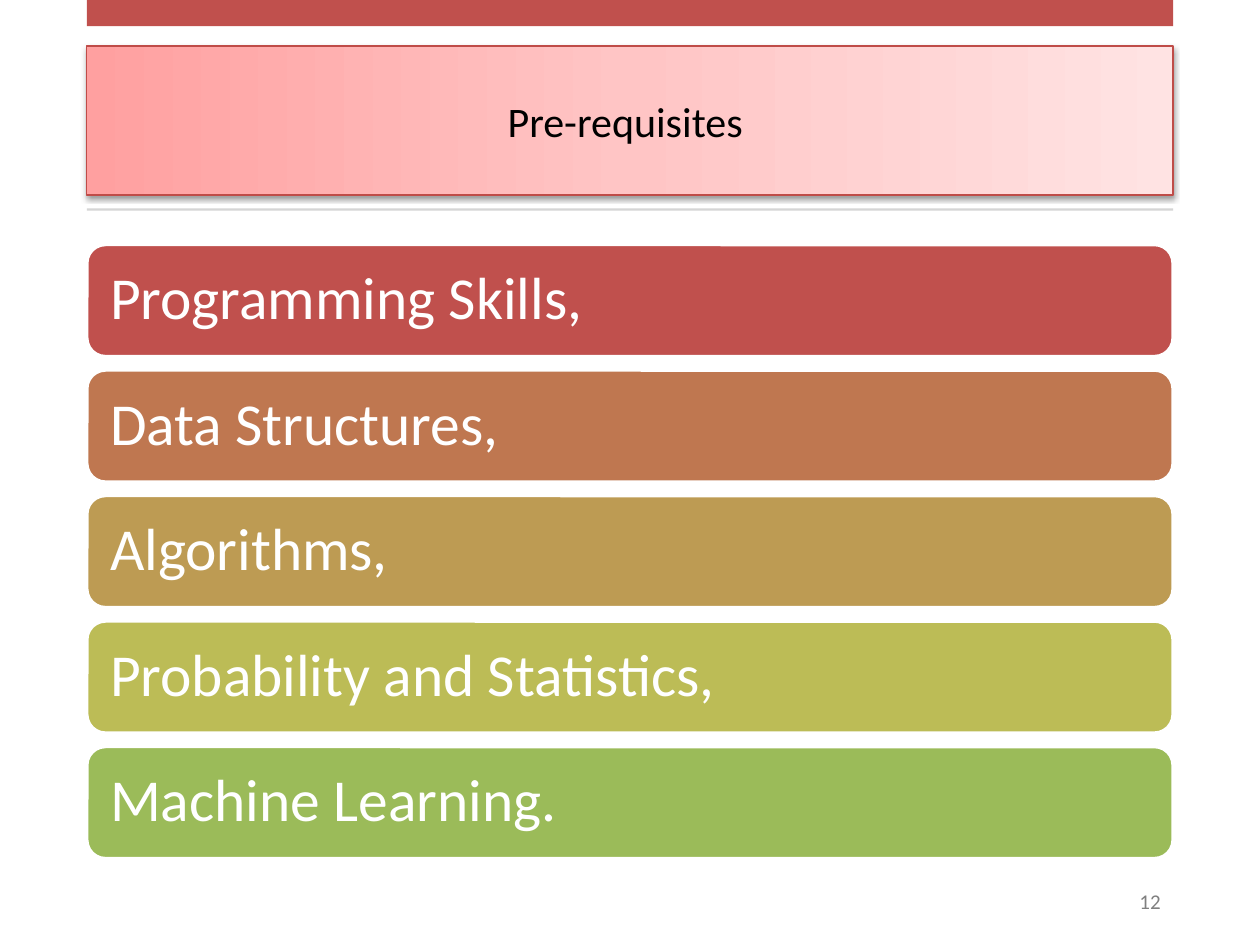
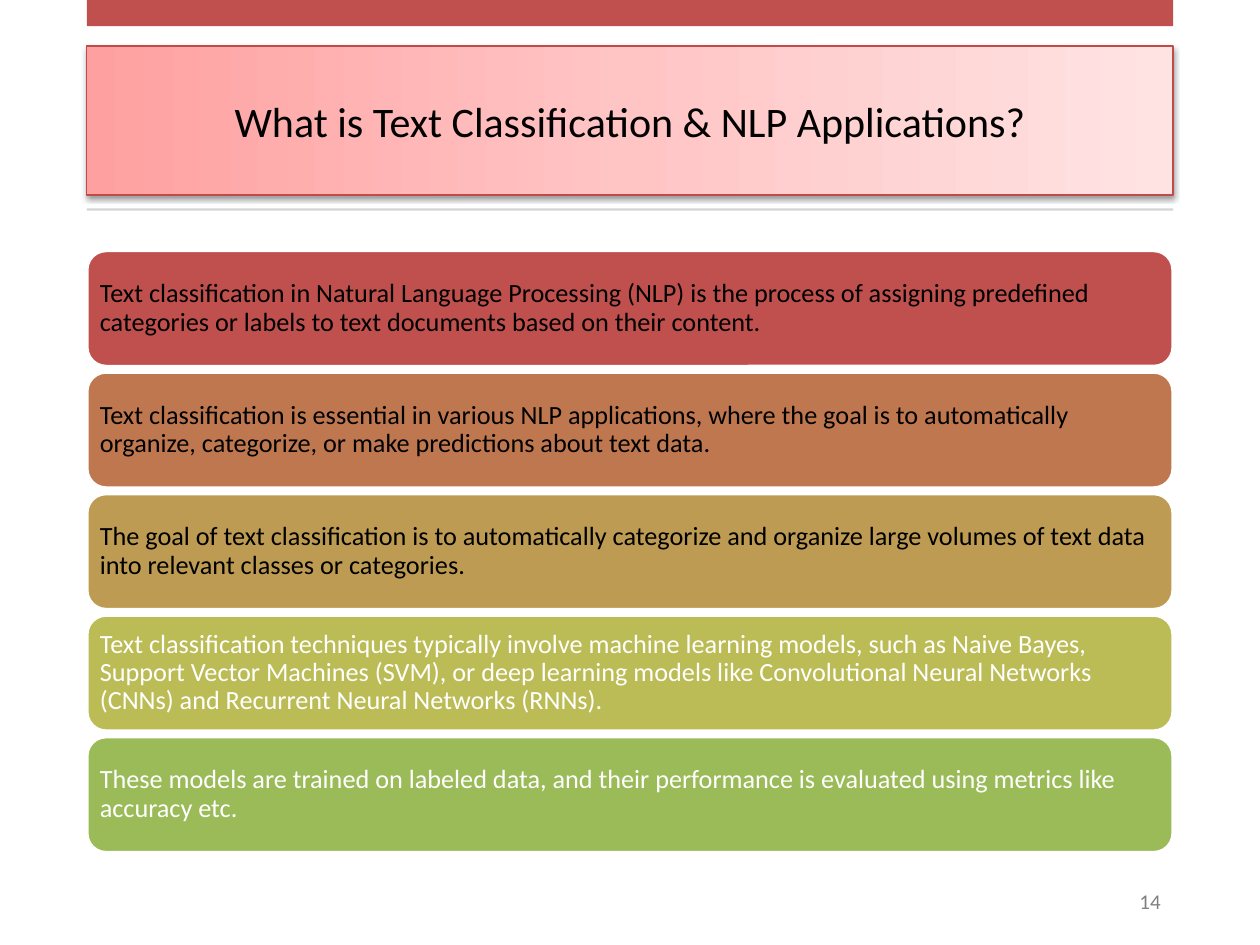
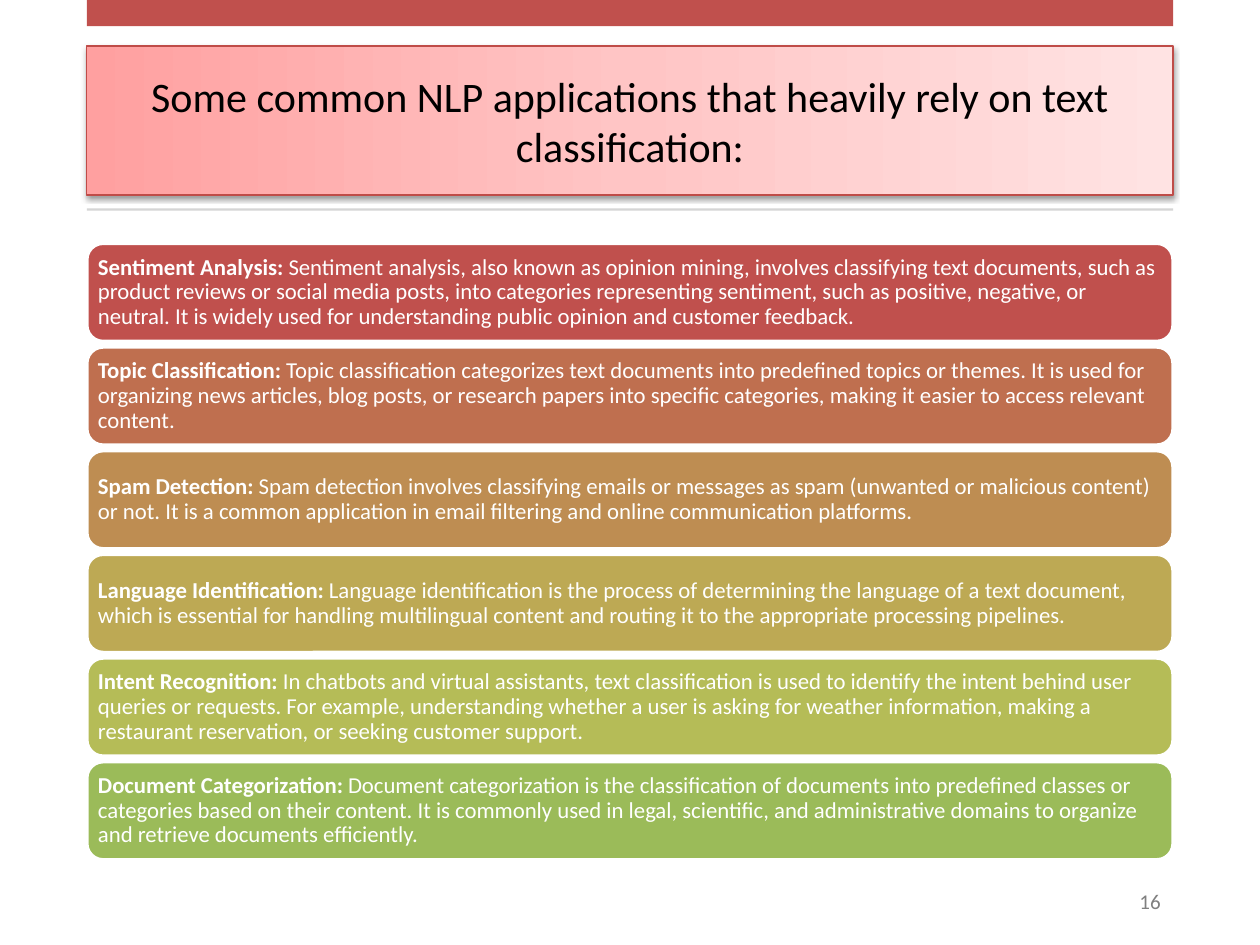
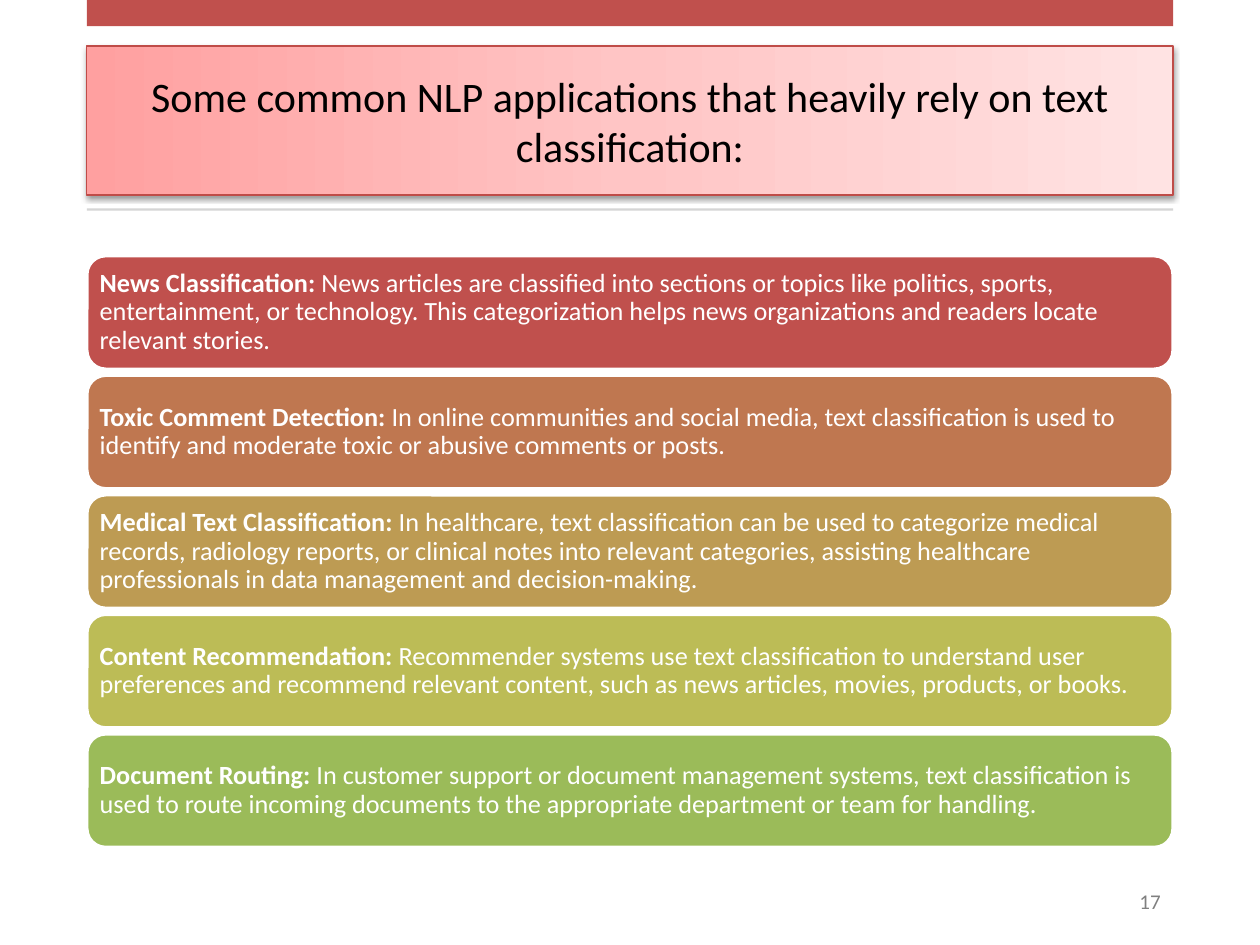
from collections import namedtuple

from lxml.etree import SubElement
from pptx import Presentation
from pptx.dml.color import RGBColor
from pptx.enum.shapes import MSO_SHAPE
from pptx.enum.text import MSO_ANCHOR, MSO_AUTO_SIZE, PP_ALIGN
from pptx.oxml.ns import qn
from pptx.util import Cm, Pt

Box = namedtuple("Box", "left top width height")
Topic = namedtuple("Topic", "text heading color", defaults=("", "white"))
Stack = namedtuple("Stack", "height gap inset size")

FONT = "Calibri"
COLORS = {
    "black": "000000",
    "white": "FFFFFF",
    "red": "C0504D",
    "border": "BF4C48",
    "rule": "D5D5D5",
    "number": "808080",
    "rust": "BF6F4F",
    "copper": "BF7750",
    "bronze": "BE8D52",
    "ochre": "BD9B53",
    "gold": "BDA954",
    "olive": "BCBC56",
    "lime": "B5BC57",
    "green": "9BBB59",
}
TITLE_STOPS = [(0, "FFA0A0"), (50, "FFC5C5"), (100, "FFE3E3")]
RAMPS = {
    5: ["red", "copper", "ochre", "olive", "green"],
    6: ["red", "rust", "bronze", "gold", "lime", "green"],
}

LEFT, WIDTH = 1.75, 21.9
BAND = Box(LEFT, 0, WIDTH, 0.53)
TITLE = Box(LEFT, 0.93, WIDTH, 3)
RULE = Box(LEFT, 4.2, WIDTH, 0.05)
BODY = Box(LEFT, 4.9, WIDTH, 12.44)
NUMBER = Box(18.16, 17.65, 5.49, 1.02)

APPLICATIONS = "Some common NLP applications that heavily rely on text classification:"

SLIDES = [
    (12, "Pre-requisites ", Stack(2.26, 0.27, 0.36, 34), [
        Topic("Programming Skills,"),
        Topic("Data Structures,"),
        Topic("Algorithms,"),
        Topic("Probability and Statistics,"),
        Topic("Machine Learning."),
    ]),
    (14, "What is Text Classification & NLP Applications?", Stack(2.34, 0.11, 0.15, 15), [
        Topic("Text classification in Natural Language Processing (NLP) is the process of "
              "assigning predefined categories or labels to text documents based on their "
              "content.", color="black"),
        Topic("Text classification is essential in various NLP applications, where the goal "
              "is to automatically organize, categorize, or make predictions about text "
              "data.", color="black"),
        Topic("The goal of text classification is to automatically categorize and organize "
              "large volumes of text data into relevant classes or categories.",
              color="black"),
        Topic("Text classification techniques typically involve machine learning models, "
              "such as Naive Bayes, Support Vector Machines (SVM), or deep learning models "
              "like Convolutional Neural Networks (CNNs) and Recurrent Neural Networks "
              "(RNNs)."),
        Topic("These models are trained on labeled data, and their performance is evaluated "
              "using metrics like accuracy etc."),
    ]),
    (16, APPLICATIONS, Stack(1.98, 0.11, 0.13, 13), [
        Topic("Sentiment analysis, also known as opinion mining, involves classifying text "
              "documents, such as product reviews or social media posts, into categories "
              "representing sentiment, such as positive, negative, or neutral. It is widely "
              "used for understanding public opinion and customer feedback.",
              "Sentiment Analysis:"),
        Topic("Topic classification categorizes text documents into predefined topics or "
              "themes. It is used for organizing news articles, blog posts, or research "
              "papers into specific categories, making it easier to access relevant content.",
              "Topic Classification:"),
        Topic("Spam detection involves classifying emails or messages as spam (unwanted or "
              "malicious content) or not. It is a common application in email filtering and "
              "online communication platforms.", "Spam Detection:"),
        Topic("Language identification is the process of determining the language of a text "
              "document, which is essential for handling multilingual content and routing it "
              "to the appropriate processing pipelines.", "Language Identification:"),
        Topic("In chatbots and virtual assistants, text classification is used to identify "
              "the intent behind user queries or requests. For example, understanding "
              "whether a user is asking for weather information, making a restaurant "
              "reservation, or seeking customer support.", "Intent Recognition:"),
        Topic("Document categorization is the classification of documents into predefined "
              "classes or categories based on their content. It is commonly used in legal, "
              "scientific, and administrative domains to organize and retrieve documents "
              "efficiently.", "Document Categorization:"),
    ]),
    (17, APPLICATIONS, Stack(2.29, 0.12, 0.15, 15), [
        Topic("News articles are classified into sections or topics like politics, sports, "
              "entertainment, or technology. This categorization helps news organizations "
              "and readers locate relevant stories.", "News Classification:"),
        Topic("In online communities and social media, text classification is used to "
              "identify and moderate toxic or abusive comments or posts.",
              "Toxic Comment Detection:"),
        Topic("In healthcare, text classification can be used to categorize medical records, "
              "radiology reports, or clinical notes into relevant categories, assisting "
              "healthcare professionals in data management and decision-making.",
              "Medical Text Classification:"),
        Topic("Recommender systems use text classification to understand user preferences "
              "and recommend relevant content, such as news articles, movies, products, or "
              "books.", "Content Recommendation:"),
        Topic("In customer support or document management systems, text classification is "
              "used to route incoming documents to the appropriate department or team for "
              "handling.", "Document Routing:"),
    ]),
]


def rgb(name):
    return RGBColor.from_string(COLORS[name])


def lengths(box):
    return [Cm(value) for value in box]


def write_text(frame, text, heading="", size=12, color="black",
               align=PP_ALIGN.LEFT, spacing=1.0, inset=None):
    frame.word_wrap = True
    frame.auto_size = MSO_AUTO_SIZE.NONE
    frame.vertical_anchor = MSO_ANCHOR.MIDDLE
    if inset is not None:
        frame.margin_left = frame.margin_right = Cm(inset)
        frame.margin_top = frame.margin_bottom = Cm(inset)
    paragraph = frame.paragraphs[0]
    paragraph.alignment = align
    paragraph.line_spacing = spacing
    parts = [(heading + " ", True), (text, False)] if heading else [(text, False)]
    for words, bold in parts:
        run = paragraph.add_run()
        run.text = words
        run.font.name = FONT
        run.font.size = Pt(size)
        run.font.bold = bold
        run.font.color.rgb = rgb(color)


def add_block(slide, box, color, preset=MSO_SHAPE.RECTANGLE, outline=None):
    block = slide.shapes.add_shape(preset, *lengths(box))
    block.shadow.inherit = False
    block.fill.solid()
    block.fill.fore_color.rgb = rgb(color)
    if outline:
        block.line.color.rgb = rgb(outline)
        block.line.width = Pt(2)
    else:
        block.line.fill.background()
    return block


def add_title_shadow(title):
    effects = SubElement(title.element.spPr, qn("a:effectLst"))
    shadow = SubElement(effects, qn("a:outerShdw"), blurRad=str(Pt(3.1)),
                        dist=str(Pt(1.6)), dir="5400000", rotWithShape="0")
    shade = SubElement(shadow, qn("a:srgbClr"), val=COLORS["black"])
    SubElement(shade, qn("a:alpha"), val="38000")


def fill_title(title):
    title.fill.gradient()
    title.fill.gradient_angle = 0
    stops = title.element.spPr.find(qn("a:gradFill")).find(qn("a:gsLst"))
    for stop in list(stops):
        stops.remove(stop)
    for percent, color in TITLE_STOPS:
        stop = SubElement(stops, qn("a:gs"), pos=str(percent * 1000))
        SubElement(stop, qn("a:srgbClr"), val=color)


def format_title(slide, box, text):
    title = slide.shapes.title
    title.left, title.top, title.width, title.height = lengths(box)
    fill_title(title)
    title.line.color.rgb = rgb("border")
    title.line.width = Pt(0.75)
    add_title_shadow(title)
    write_text(title.text_frame, text, size=24, align=PP_ALIGN.CENTER)


def add_number(slide, box, number):
    footer = slide.shapes.add_textbox(*lengths(box))
    write_text(footer.text_frame, str(number), color="number", align=PP_ALIGN.RIGHT)


def add_topics(slide, box, stack, topics):
    pitch = stack.height + stack.gap
    total = pitch * len(topics) - stack.gap
    first_top = box.top + (box.height - total) / 2
    for index, (topic, color) in enumerate(zip(topics, RAMPS[len(topics)])):
        place = Box(box.left, first_top + index * pitch, box.width, stack.height)
        bar = add_block(slide, place, color, MSO_SHAPE.ROUNDED_RECTANGLE, "white")
        write_text(bar.text_frame, topic.text, heading=topic.heading, size=stack.size,
                   color=topic.color, spacing=0.9, inset=stack.inset)


def add_topic_slide(deck, number, heading, stack, topics):
    slide = deck.slides.add_slide(deck.slide_layouts[5])
    format_title(slide, TITLE, heading)
    add_block(slide, BAND, "red")
    add_block(slide, RULE, "rule")
    add_number(slide, NUMBER, number)
    add_topics(slide, BODY, stack, topics)


def main():
    deck = Presentation()
    deck.slide_width, deck.slide_height = Cm(25.4), Cm(19.05)
    for content in SLIDES:
        add_topic_slide(deck, *content)
    deck.save("out.pptx")


if __name__ == "__main__":
    main()
